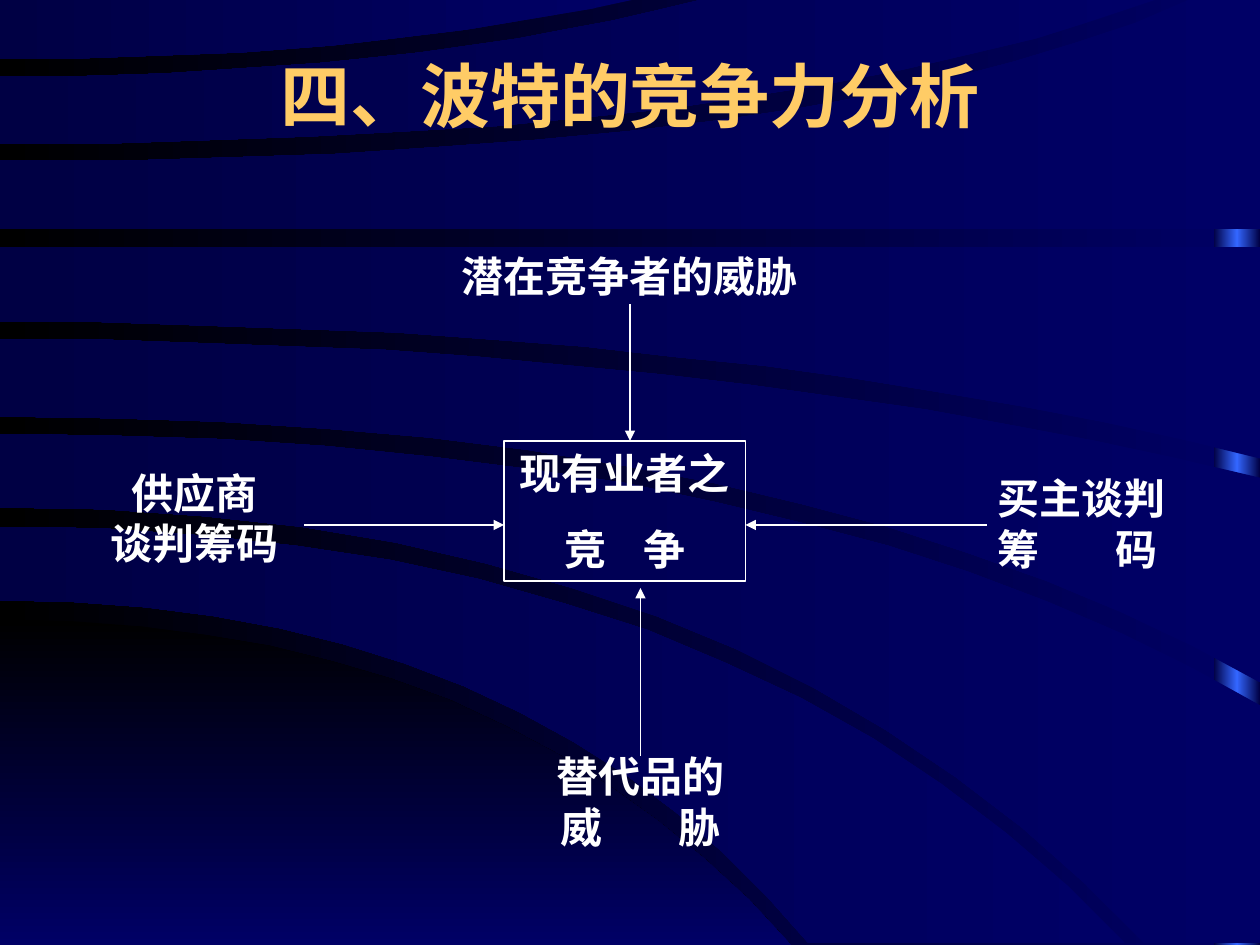
import copy
from dataclasses import dataclass

import pptx
import pptx.dml.color
import pptx.enum.shapes
import pptx.enum.text
import pptx.oxml.ns
import pptx.util
from lxml import etree

Pt = pptx.util.Pt
Align = pptx.enum.text.PP_ALIGN
Anchor = pptx.enum.text.MSO_ANCHOR
Kind = pptx.enum.shapes.MSO_SHAPE

WIDE, HIGH = 720, 540
STEPS = 14


@dataclass(frozen=True)
class Theme:
    navy: str = "000066"
    dark: str = "000044"
    black: str = "000000"
    glow: str = "3366FF"
    gold: str = "FFCC66"
    white: str = "FFFFFF"
    font: str = "Times New Roman"
    head: int = 40
    body: int = 24
    line: float = 0.75


THEME = Theme()


def rgb(code):
    return pptx.dml.color.RGBColor.from_string(code)


def sub(node, tag, **attrs):
    return etree.SubElement(node, pptx.oxml.ns.qn(tag), **attrs)


def blend(fill, *codes, angle=180):
    fill.gradient()
    fill.gradient_angle = angle
    last = fill.gradient_stops[1]._gs
    for _ in codes[2:]:
        last.addnext(copy.deepcopy(last))
    for n, (stop, code) in enumerate(zip(fill.gradient_stops, codes)):
        stop.color.rgb = rgb(code)
        stop.position = n / (len(codes) - 1)


def plain(shape):
    shape.shadow.inherit = False
    shape.line.fill.background()
    return shape


def flat(y, end=WIDE):
    return [(0, y), (end, y)]


def curve(y, bend, end, rest):
    points = []
    for n in range(STEPS + 1):
        t = n / STEPS
        points.append((round(2 * t * (1 - t) * bend + t * t * end, 2),
                       round(y + t * t * (rest - y), 2)))
    return points


def area(slide, upper, lower, *codes, angle=180, corner=()):
    points = [*upper, *corner, *reversed(lower)]
    pen = slide.shapes.build_freeform(*points[0], scale=Pt(1))
    pen.add_line_segments(points[1:], close=True)
    blend(plain(pen.convert_to_shape()).fill, *codes, angle=angle)


def box(slide, kind, left, top, width, height):
    return slide.shapes.add_shape(
        kind, Pt(left), Pt(top), Pt(width), Pt(height))


def label(slide, left, top, width, height):
    return slide.shapes.add_textbox(
        Pt(left), Pt(top), Pt(width), Pt(height))


def write(shape, *rows, size=THEME.body, color=THEME.white, gap=0,
          align=Align.CENTER, anchor=Anchor.TOP, inset=7.2, stops=()):
    frame = shape.text_frame
    frame.word_wrap = True
    frame.vertical_anchor = anchor
    frame.margin_left = Pt(inset)
    for n, row in enumerate(rows):
        para = frame.add_paragraph() if n else frame.paragraphs[0]
        para.text = row
        para.alignment = align
        if n:
            para.space_before = Pt(gap)
        if "\t" in row:
            para.alignment = Align.LEFT
            tabs = sub(para._p.get_or_add_pPr(), "a:tabLst")
            for stop in stops:
                sub(tabs, "a:tab", pos=str(int(Pt(stop))), algn="l")
        font = para.font
        font.name = THEME.font
        font.size = Pt(size)
        font.bold = True
        font.color.rgb = rgb(color)


def arrow(slide, *ends):
    link = slide.shapes.add_connector(
        pptx.enum.shapes.MSO_CONNECTOR.STRAIGHT, *map(Pt, ends))
    link.line.color.rgb = rgb(THEME.white)
    link.line.width = Pt(THEME.line)
    sub(link.line._get_or_add_ln(), "a:tailEnd", type="triangle")
    sub(link._element.spPr, "a:effectLst")


def scene(slide):
    blend(slide.background.fill, THEME.navy, THEME.black)
    strip = plain(box(slide, Kind.RECTANGLE, 693.5, 0, 26.5, HIGH))
    blend(strip.fill, THEME.dark, THEME.glow, THEME.dark)
    area(slide, curve(354, 288, 452, HIGH), flat(HIGH, 452),
         THEME.black, THEME.navy, angle=270)
    bands = [
        (curve(301, 418, 643, 539), curve(343, 299, 462, 539), ()),
        (curve(248, 458, WIDE, 403), curve(290, 423, 654, 539),
         [(WIDE, 539)]),
        (curve(194, 396, WIDE, 273), curve(238, 456, WIDE, 390), ()),
        (flat(141), curve(184, 412, WIDE, 262), ()),
        (curve(92, 478, 679, 0), flat(131), [(WIDE, 0)]),
        (curve(44, 224, 400, 0), curve(82, 436, 660, 0), ()),
        (flat(0, 361), curve(34, 200, 361, 0), ()),
    ]
    for upper, lower, corner in bands:
        area(slide, upper, lower, THEME.navy, THEME.dark, corner=corner)


def forces(slide):
    write(label(slide, 30, 263.5, 162, 65), "供应商", "谈判筹码")
    core = plain(box(slide, Kind.RECTANGLE, 288, 252, 138, 80))
    core.fill.background()
    core.line.color.rgb = rgb(THEME.white)
    core.line.width = Pt(THEME.line)
    write(core, "现有业者之", "\t竞\t争", gap=15, stops=(27.4, 72.5))
    write(label(slide, 234, 139.5, 252, 36), "潜在竞争者的威胁")
    write(label(slide, 557.5, 266.5, 144, 65), "买主谈判", "筹\t码",
          align=Align.LEFT, inset=12.6, stops=(67.2,))
    write(label(slide, 294, 425.5, 144, 65), "替代品的", "\t威\t胁",
          stops=(19, 86.5))
    arrow(slide, 174, 300, 288, 300)
    arrow(slide, 564, 300, 426, 300)
    arrow(slide, 366, 432, 366, 336)
    arrow(slide, 360, 174, 360, 252)


def main():
    deck = pptx.Presentation()
    deck.slide_width, deck.slide_height = Pt(WIDE), Pt(HIGH)
    slide = deck.slides.add_slide(deck.slide_layouts[6])
    scene(slide)
    write(label(slide, 54, 18, 612, 72), "四、波特的竞争力分析",
          size=THEME.head, color=THEME.gold, anchor=Anchor.MIDDLE)
    forces(slide)
    deck.save("out.pptx")


if __name__ == "__main__":
    main()
